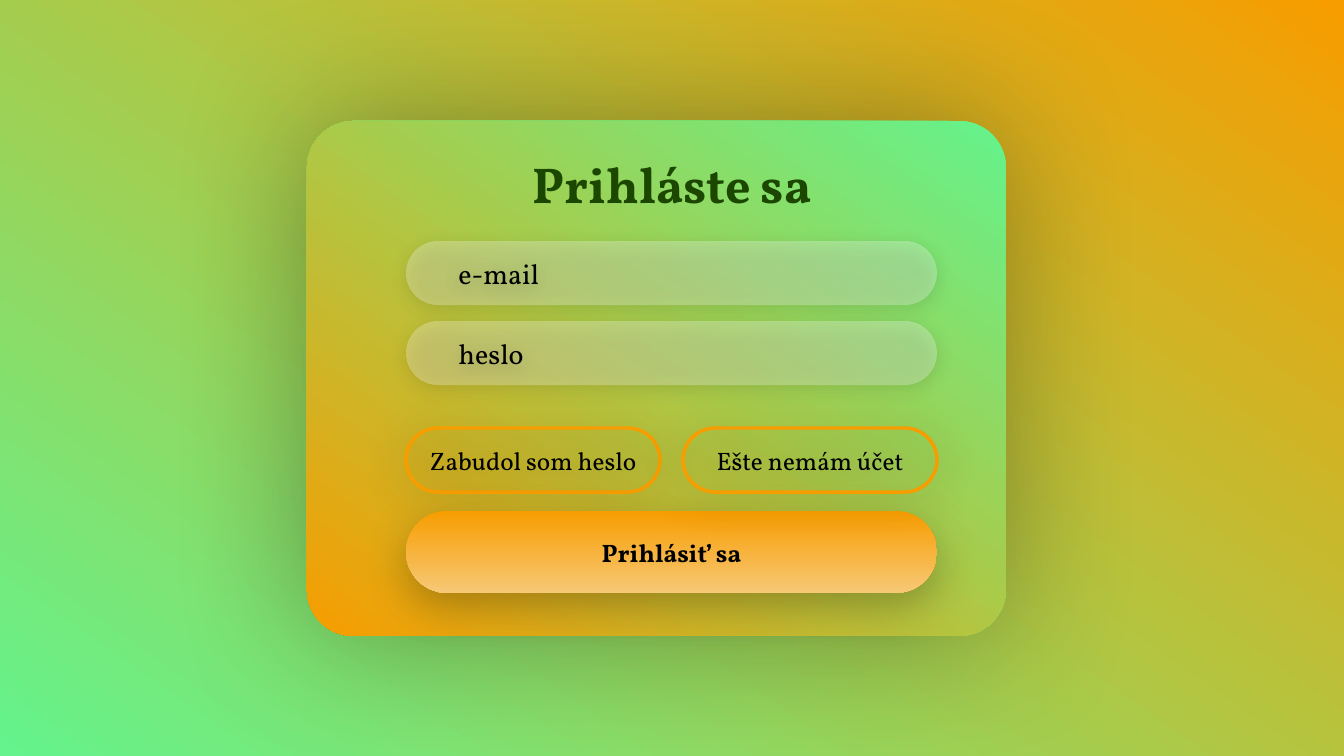
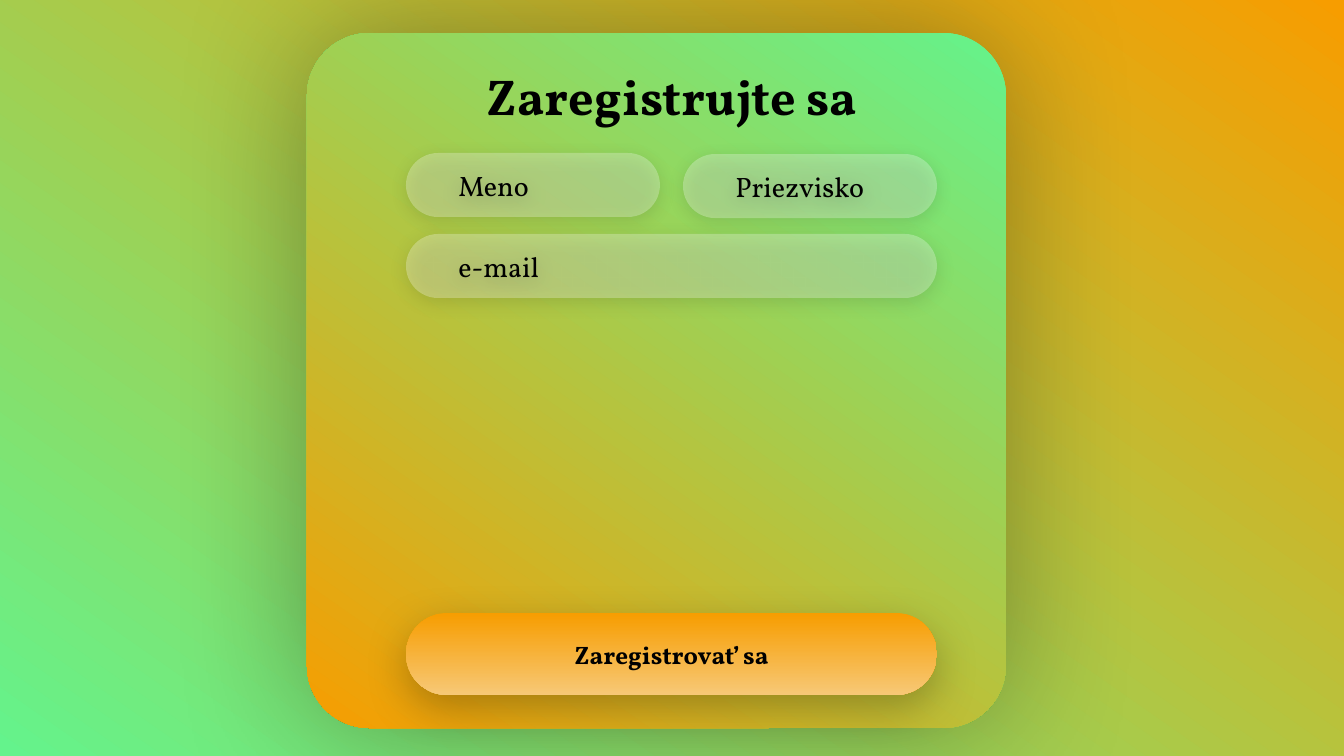
"""Build a login slide and a registration slide with shared form styling."""
from lxml import etree
from pptx import Presentation
from pptx.dml.color import RGBColor
from pptx.enum.shapes import MSO_SHAPE
from pptx.enum.text import MSO_ANCHOR, MSO_AUTO_SIZE, PP_ALIGN
from pptx.oxml.ns import qn
from pptx.util import Pt

ROUNDED = MSO_SHAPE.ROUNDED_RECTANGLE
MIDDLE = MSO_ANCHOR.MIDDLE
FIT_SHAPE = MSO_AUTO_SIZE.SHAPE_TO_FIT_TEXT
LEFT, CENTER = PP_ALIGN.LEFT, PP_ALIGN.CENTER

SCALE = 914400 / 100.8
WIDTH, HEIGHT = 1344, 756
FONT = "Vollkorn"
COLORS = {"orange": "F79D00", "peach": "F7C876", "green": "64F38C",
          "white": "FFFFFF", "black": "000000", "forest": "1C4700"}

CARD_LEFT, CARD_WIDTH = 307, 699
FORM_LEFT, FORM_WIDTH = 406, 531
HALF_WIDTH, GAP = 254, 23
RIGHT_LEFT = FORM_LEFT + HALF_WIDTH + GAP
FIELD_HEIGHT, BUTTON_HEIGHT = 64, 82
DIAGONAL, DOWN = 235, 270

STYLES = {
    "card": {"radius": 0.09, "gradient": ("green", "orange", DIAGONAL),
             "shadow": (32, 100, 0)},
    "field": {"glass": 27, "shadow": (40, 13.1, 3),
              "text": {"size": 20, "align": LEFT, "inset": 43}},
    "link": {"border": "orange", "shadow": (40, 30, 3),
             "text": {"size": 18}},
    "button": {"gradient": ("orange", "peach", DOWN), "shadow": (25, 31, 9.6),
               "text": {"size": 18, "bold": True}},
}

SLIDES = [
    {"title": "Prihláste sa", "title_color": "forest",
     "card_top": 121, "card_height": 515,
     "controls": [
         ("field", "e-mail", FORM_LEFT, 241, FORM_WIDTH, FIELD_HEIGHT),
         ("field", "heslo", FORM_LEFT, 321, FORM_WIDTH, FIELD_HEIGHT),
         ("link", "Zabudol som heslo", FORM_LEFT, 428, HALF_WIDTH, FIELD_HEIGHT),
         ("button", "Prihlásiť sa", FORM_LEFT, 511, FORM_WIDTH, BUTTON_HEIGHT),
         ("link", "Ešte nemám účet", RIGHT_LEFT, 428, HALF_WIDTH, FIELD_HEIGHT)]},
    {"title": "Zaregistrujte sa", "title_color": "black",
     "card_top": 33, "card_height": 695,
     "controls": [
         ("field", "Meno", FORM_LEFT, 153, HALF_WIDTH, FIELD_HEIGHT),
         ("field", "Priezvisko", RIGHT_LEFT, 154, HALF_WIDTH, FIELD_HEIGHT),
         ("field", "e-mail", FORM_LEFT, 234, FORM_WIDTH, FIELD_HEIGHT),
         ("button", "Zaregistrovať sa", FORM_LEFT, 613, FORM_WIDTH, BUTTON_HEIGHT)]},
]


def write(box, text, size=18, color="black", bold=False, align=CENTER, inset=10):
    frame = box.text_frame
    frame.word_wrap = True
    frame.margin_left = round(inset * SCALE)
    para = frame.paragraphs[0]
    para.alignment = align
    span = para.add_run()
    span.text = text
    span.font.name = FONT
    span.font.size = Pt(size)
    span.font.bold = bold
    span.font.color.rgb = RGBColor.from_string(COLORS[color])


def paint_gradient(fill, start, end, angle):
    fill.gradient()
    fill.gradient_angle = angle
    for stop, name in zip(fill.gradient_stops, (start, end)):
        stop.color.rgb = RGBColor.from_string(COLORS[name])


deck = Presentation()
deck.slide_width, deck.slide_height = round(WIDTH * SCALE), round(HEIGHT * SCALE)

for content in SLIDES:
    page = deck.slides.add_slide(deck.slide_layouts[6])
    paint_gradient(page.background.fill, "orange", "green", DIAGONAL)
    top = content["card_top"]
    card = ("card", "", CARD_LEFT, top, CARD_WIDTH, content["card_height"])

    for kind, label, *bounds in [card] + content["controls"]:
        style = STYLES[kind]
        box = page.shapes.add_shape(ROUNDED, *[round(n * SCALE) for n in bounds])
        box.adjustments[0] = style.get("radius", 0.5)
        if "gradient" in style:
            paint_gradient(box.fill, *style["gradient"])
        elif "glass" in style:
            box.fill.solid()
            box.fill.fore_color.rgb = RGBColor.from_string(COLORS["white"])
            tint = next(box._element.spPr.iter(qn("a:srgbClr")))
            etree.SubElement(tint, qn("a:alpha"), val=str(style["glass"] * 1000))
        else:
            box.fill.background()
        if "border" in style:
            box.line.color.rgb = RGBColor.from_string(COLORS[style["border"]])
            box.line.width = Pt(2.5)
        else:
            box.line.fill.background()

        opacity, blur, distance = style["shadow"]
        box.shadow.inherit = False
        effects = box._element.spPr.find(qn("a:effectLst"))
        shadow = etree.SubElement(
            effects, qn("a:outerShdw"), blurRad=str(Pt(blur)), dist=str(Pt(distance)),
            dir="5400000", algn="ctr", rotWithShape="0")
        shade = etree.SubElement(shadow, qn("a:srgbClr"), val=COLORS["black"])
        etree.SubElement(shade, qn("a:alpha"), val=str(opacity * 1000))

        if label:
            box.text_frame.vertical_anchor = MIDDLE
            write(box, label, **style["text"])

    title_bounds = (426, top + 27, 492, 72)
    title = page.shapes.add_textbox(*[round(n * SCALE) for n in title_bounds])
    title.text_frame.auto_size = FIT_SHAPE
    write(title, content["title"], size=36, color=content["title_color"], bold=True)

deck.save("out.pptx")
